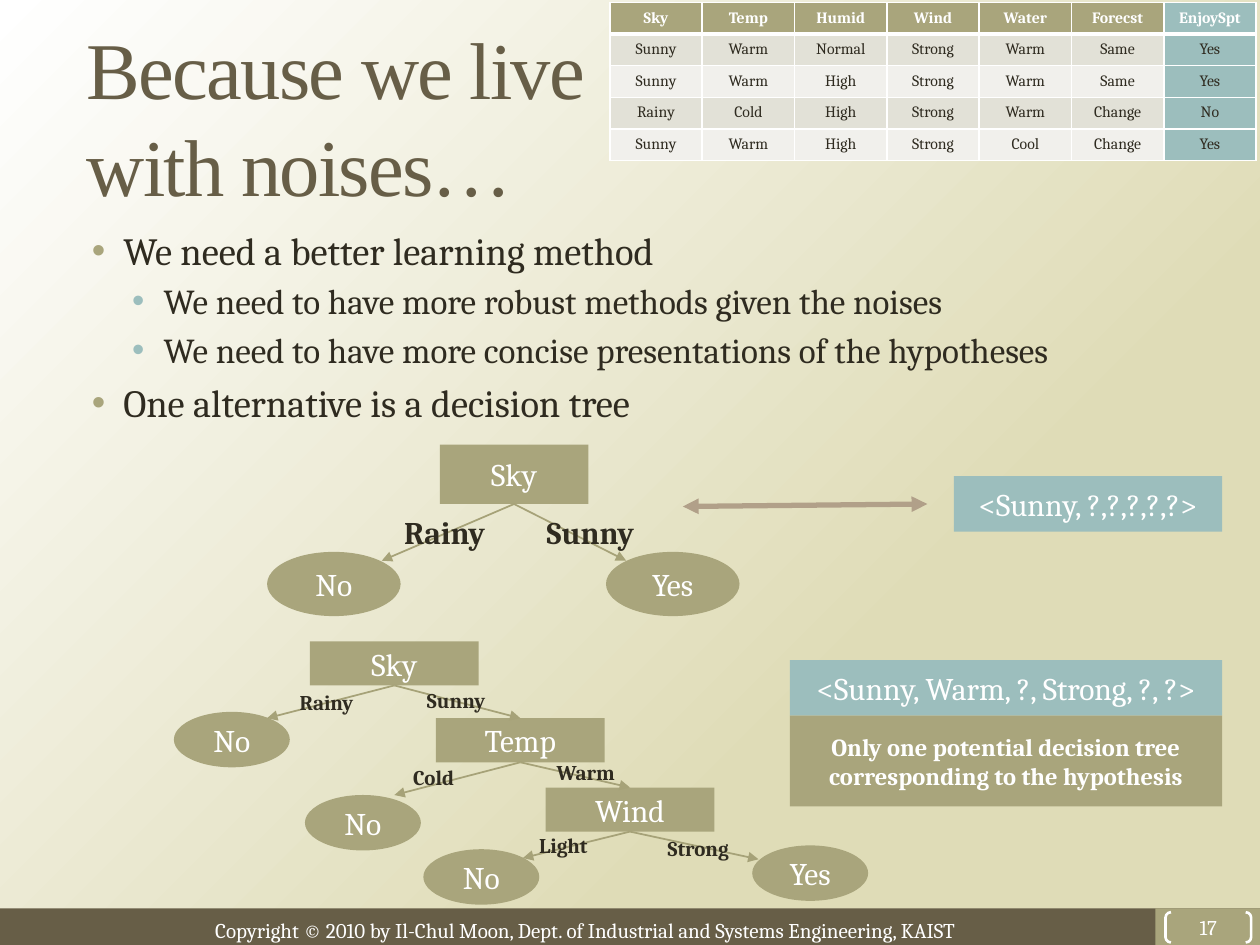
"""Slide on decision trees as an alternative to hypotheses, laid out on a grid of 100 columns by 75 rows."""
from typing import NamedTuple, Optional

from lxml.etree import SubElement
from pptx import Presentation
from pptx.dml.color import RGBColor
from pptx.enum.shapes import MSO_CONNECTOR, MSO_SHAPE as Shape
from pptx.enum.text import MSO_ANCHOR as Anchor, MSO_AUTO_SIZE as AutoSize, PP_ALIGN as Align
from pptx.oxml.ns import qn
from pptx.util import Inches, Pt

FONT, TITLE_FONT = "Cambria", "Times New Roman"
OLIVE, TEAL, BROWN, INK, WHITE = "A9A57C", "9CBEBD", "675E47", "2F2B20", "FFFFFF"
SAND, LINE, ARROW = "DFDCB7", "A6A278", "B1A089"
BANDS = ("E2E1D7", "F1F0EC")


class Box(NamedTuple):
    """Place on the grid: column, row, width, height."""
    x: float
    y: float
    w: float
    h: float


class Node(NamedTuple):
    """Filled shape with centred text."""
    text: str
    box: Box
    kind: Shape = Shape.RECTANGLE
    fill: str = OLIVE
    size: float = 18
    bold: bool = False


class Branch(NamedTuple):
    """Labelled arrow from a parent node to a child node or a grid point."""
    parent: str
    label: str
    label_box: Box
    size: float
    child: Optional[str] = None
    end: tuple[float, float] = (0, 0)


class Bullet(NamedTuple):
    """Line of the body list."""
    text: str
    level: int


LEVELS = ((22, 0.38, OLIVE), (20, 0.7, TEAL))
BULLETS = (
    Bullet("We need a better learning method", 0),
    Bullet("We need to have more robust methods given the noises", 1),
    Bullet("We need to have more concise presentations of the hypotheses", 1),
    Bullet("One alternative is a decision tree", 0),
)
TABLE = (
    "Sky Temp Humid Wind Water Forecst EnjoySpt",
    "Sunny Warm Normal Strong Warm Same Yes",
    "Sunny Warm High Strong Warm Same Yes",
    "Rainy Cold High Strong Warm Change No",
    "Sunny Warm High Strong Cool Change Yes",
)
OVAL = Shape.OVAL
NODES = {
    "small root": Node("Sky", Box(34.9, 35.3, 11.8, 4.7)),
    "small no": Node("No", Box(21.2, 43.8, 10.6, 5.1), OVAL),
    "small yes": Node("Yes", Box(48.1, 43.8, 10.6, 5.1), OVAL),
    "sky": Node("Sky", Box(24.6, 50.9, 13.4, 3.5)),
    "temp": Node("Temp", Box(34.6, 57, 13.4, 3.5)),
    "wind": Node("Wind", Box(43.3, 62.5, 13.4, 3.5)),
    "rainy no": Node("No", Box(13.8, 56.5, 9.2, 4.4), OVAL),
    "cold no": Node("No", Box(24.2, 63.1, 9.2, 4.4), OVAL),
    "light no": Node("No", Box(33.6, 67.4, 9.2, 4.4), OVAL),
    "strong yes": Node("Yes", Box(59.7, 67.1, 9.2, 4.4), OVAL),
    "hypothesis": Node("<Sunny, ?,?,?,?,?>", Box(75.7, 37.8, 21.3, 4.4), fill=TEAL),
}
HYPOTHESIS_CARD = (
    Node("<Sunny, Warm, ?, Strong, ?, ?>", Box(62.7, 52.4, 34.3, 4.4), fill=TEAL),
    Node("Only one potential decision tree\ncorresponding to the hypothesis",
         Box(62.7, 56.8, 34.3, 7.2), size=14, bold=True),
)
BRANCHES = (
    Branch("small root", "Rainy", Box(31.1, 40.2, 8.6, 4), 18, end=(30.3, 44.5)),
    Branch("small root", "Sunny", Box(42.4, 40.2, 9.1, 4), 18, end=(49.7, 44.5)),
    Branch("sky", "Rainy", Box(22.8, 54.2, 6.4, 3), 12, end=(21.2, 57)),
    Branch("sky", "Sunny", Box(32.9, 54.1, 6.8, 3), 12, child="temp"),
    Branch("temp", "Cold", Box(31.8, 60.2, 5.5, 3), 12, end=(31.3, 63.1)),
    Branch("temp", "Warm", Box(43.2, 59.8, 6.7, 3), 12, child="wind"),
    Branch("wind", "Light", Box(41.8, 65.6, 6, 3), 12, end=(41.5, 68.1)),
    Branch("wind", "Strong", Box(52, 65.8, 7.1, 3), 12, end=(60.2, 68.2)),
)


def grid(cells: float) -> int:
    """Turn grid cells into a length."""
    return Inches(cells / 10)


def place(box: Box) -> list[int]:
    """Turn a grid box into left, top, width and height."""
    return [grid(v) for v in box]


def rgb(color: str) -> RGBColor:
    """Read a hex colour."""
    return RGBColor.from_string(color)


def write(p, text: str, *, size: float, color: str, font: str = FONT,
          bold: bool = False, align: Align = Align.LEFT) -> None:
    """Put formatted text into a paragraph."""
    p.text, p.alignment = text, align
    for r in p.runs:
        r.font.name, r.font.size, r.font.bold = font, Pt(size), bold
        r.font.color.rgb = rgb(color)


def add_label(shapes, text: str, box: Box, **style) -> None:
    """Add one line of text that does not wrap."""
    tf = shapes.add_textbox(*place(box)).text_frame
    tf.word_wrap = False
    write(tf.paragraphs[0], text, **style)


def add_filled(shapes, kind: Shape, box: Box, fill: str):
    """Add a flat shape without outline."""
    sp = shapes.add_shape(kind, *place(box))
    sp.shadow.inherit = False
    sp.fill.solid()
    sp.fill.fore_color.rgb = rgb(fill)
    sp.line.fill.background()
    return sp


def add_node(shapes, node: Node):
    """Add a filled shape with its text."""
    sp = add_filled(shapes, node.kind, node.box, node.fill)
    tf = sp.text_frame
    tf.word_wrap, tf.vertical_anchor = True, Anchor.MIDDLE
    write(tf.paragraphs[0], node.text, size=node.size, color=WHITE, bold=node.bold, align=Align.CENTER)
    return sp


def add_arrow(shapes, start: tuple, end: tuple, color: str, width: float, ends: tuple = ("tailEnd",)):
    """Add a straight connector with triangle heads."""
    line = shapes.add_connector(MSO_CONNECTOR.STRAIGHT, *map(grid, start + end))
    line.line.color.rgb, line.line.width = rgb(color), Pt(width)
    for name in ends:
        SubElement(line.line._get_or_add_ln(), qn(f"a:{name}"), type="triangle")
    SubElement(line._element.spPr, qn("a:effectLst"))
    return line


def add_branch(shapes, branch: Branch, drawn: dict) -> None:
    """Add an arrow joined to its nodes, and its label."""
    line = add_arrow(shapes, (0, 0), branch.end, LINE, 1)
    line.begin_connect(drawn[branch.parent], 2)
    if branch.child:
        line.end_connect(drawn[branch.child], 0)
    add_label(shapes, branch.label, branch.label_box, size=branch.size, color=INK, bold=True)


def add_bullets(shapes, box: Box) -> None:
    """Add the body list."""
    tf = shapes.add_textbox(*place(box)).text_frame
    tf.word_wrap = True
    for i, bullet in enumerate(BULLETS):
        size, indent, color = LEVELS[bullet.level]
        p = tf.add_paragraph() if i else tf.paragraphs[0]
        write(p, bullet.text, size=size, color=INK)
        p.level, p.space_before = bullet.level, Pt(size * 0.2)
        ppr = p._p.get_or_add_pPr()
        ppr.set("marL", str(Inches(indent)))
        ppr.set("indent", str(Inches(-0.25)))
        SubElement(SubElement(ppr, qn("a:buClr")), qn("a:srgbClr"), val=color)
        SubElement(ppr, qn("a:buFont"), typeface="Arial")
        SubElement(ppr, qn("a:buChar"), char="•")


def add_samples(shapes, box: Box) -> None:
    """Add the table of training samples."""
    rows = [row.split() for row in TABLE]
    table = shapes.add_table(len(rows), len(rows[0]), *place(box)).table
    table.horz_banding = False
    for i, row in enumerate(rows):
        for j, text in enumerate(row):
            cell = table.cell(i, j)
            for side in "LRTB":
                thick = (i, side) in ((0, "B"), (1, "T"))
                ln = SubElement(cell._tc.get_or_add_tcPr(), qn(f"a:ln{side}"), w=str(Pt(3 if thick else 1)))
                SubElement(SubElement(ln, qn("a:solidFill")), qn("a:srgbClr"), val=WHITE)
            cell.fill.solid()
            fill = TEAL if j == len(row) - 1 else BANDS[(i - 1) % 2] if i else OLIVE
            cell.fill.fore_color.rgb = rgb(fill)
            write(cell.text_frame.paragraphs[0], text, size=9, bold=i == 0,
                  color=INK if i else WHITE, align=Align.CENTER)


def add_title(s, text: str, box: Box) -> None:
    """Move and format the title placeholder."""
    title = s.shapes.title
    title.left, title.top, title.width, title.height = place(box)
    tf = title.text_frame
    tf.word_wrap, tf.auto_size, tf.vertical_anchor = True, AutoSize.NONE, Anchor.MIDDLE
    write(tf.paragraphs[0], text, size=46, color=BROWN, font=TITLE_FONT)
    tf.paragraphs[0].runs[0].font._element.set("spc", "-100")


def add_frame(s) -> None:
    """Add the background, the footer bar and the slide number."""
    fill = s.background.fill
    fill.gradient()
    fill.gradient_angle = 135
    for stop, color, position in zip(fill.gradient_stops, (SAND, WHITE), (0.31, 1)):
        stop.color.rgb, stop.position = rgb(color), position
    add_filled(s.shapes, Shape.RECTANGLE, Box(0, 72.1, 100, 2.9), BROWN)
    add_filled(s.shapes, Shape.RECTANGLE, Box(91.7, 72.1, 8.3, 2.9), OLIVE)
    add_label(s.shapes, "Copyright © 2010 by Il-Chul Moon, Dept. of Industrial and Systems Engineering, KAIST",
              Box(16.1, 72.3, 64.1, 3), size=12, color=WHITE)
    number = add_node(s.shapes, Node("17", Box(92.5, 72.4, 6.8, 2.4), Shape.DOUBLE_BRACKET, size=12))
    number.fill.background()
    number.line.color.rgb, number.line.width = rgb(WHITE), Pt(1.5)
    number.adjustments[0] = 0.18
    tf = number.text_frame
    tf.margin_left = tf.margin_right = tf.margin_top = tf.margin_bottom = 0


def main() -> None:
    """Build and save the slide."""
    prs = Presentation()
    prs.slide_width, prs.slide_height = grid(100), grid(75)
    s = prs.slides.add_slide(prs.slide_layouts[5])
    add_frame(s)
    add_title(s, "Because we live with noises…", Box(5.9, 3, 41.7, 12.4))
    add_bullets(s.shapes, Box(5, 17.5, 92.2, 53.9))
    add_samples(s.shapes, Box(48.4, 0.2, 51.3, 12.3))
    drawn = {name: add_node(s.shapes, node) for name, node in NODES.items()}
    for branch in BRANCHES:
        add_branch(s.shapes, branch, drawn)
    card = s.shapes.add_group_shape()
    for node in HYPOTHESIS_CARD:
        add_node(card.shapes, node)
    add_arrow(s.shapes, (54.2, 40.2), (73.6, 40), ARROW, 3, ("headEnd", "tailEnd"))
    prs.save("out.pptx")


if __name__ == "__main__":
    main()
